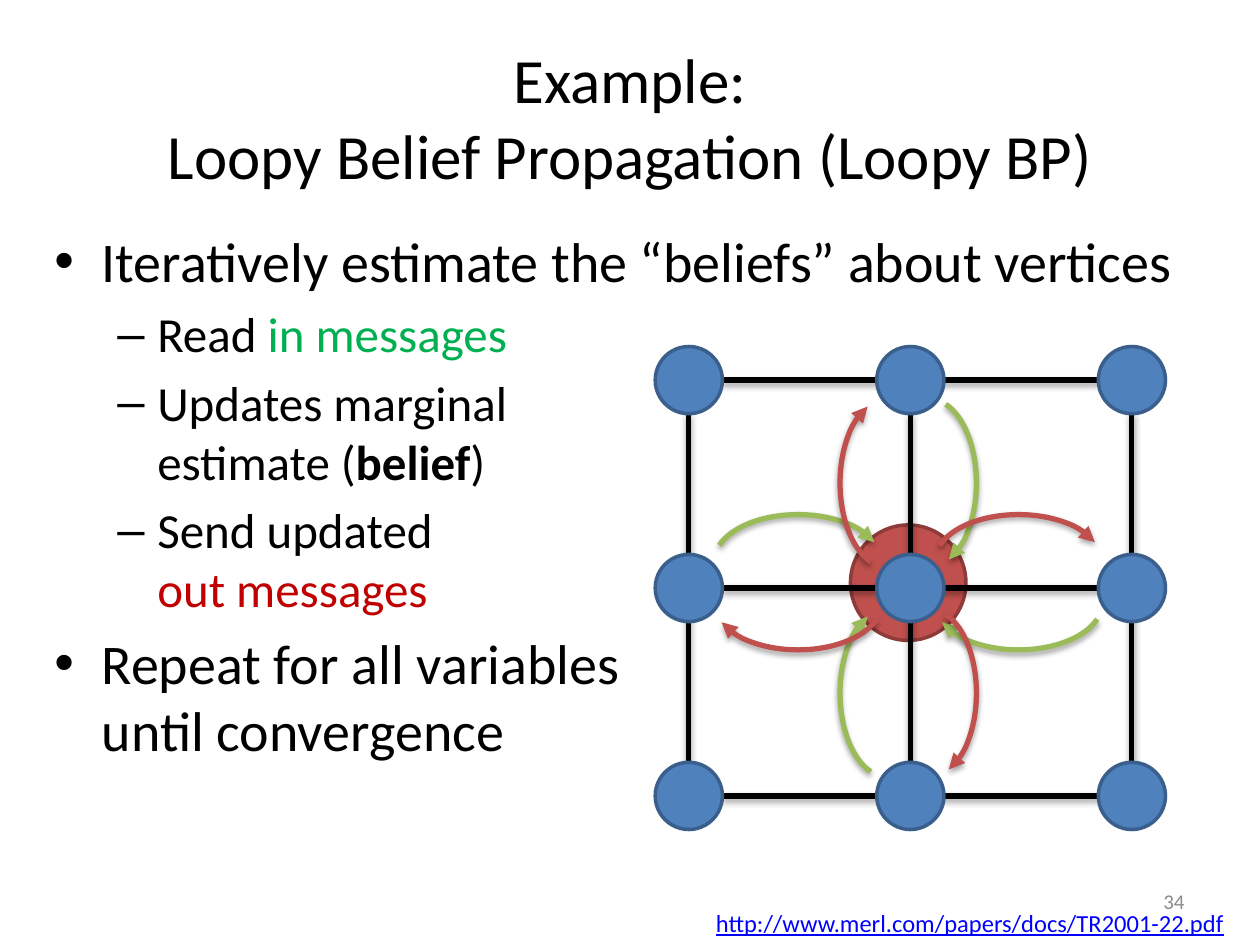
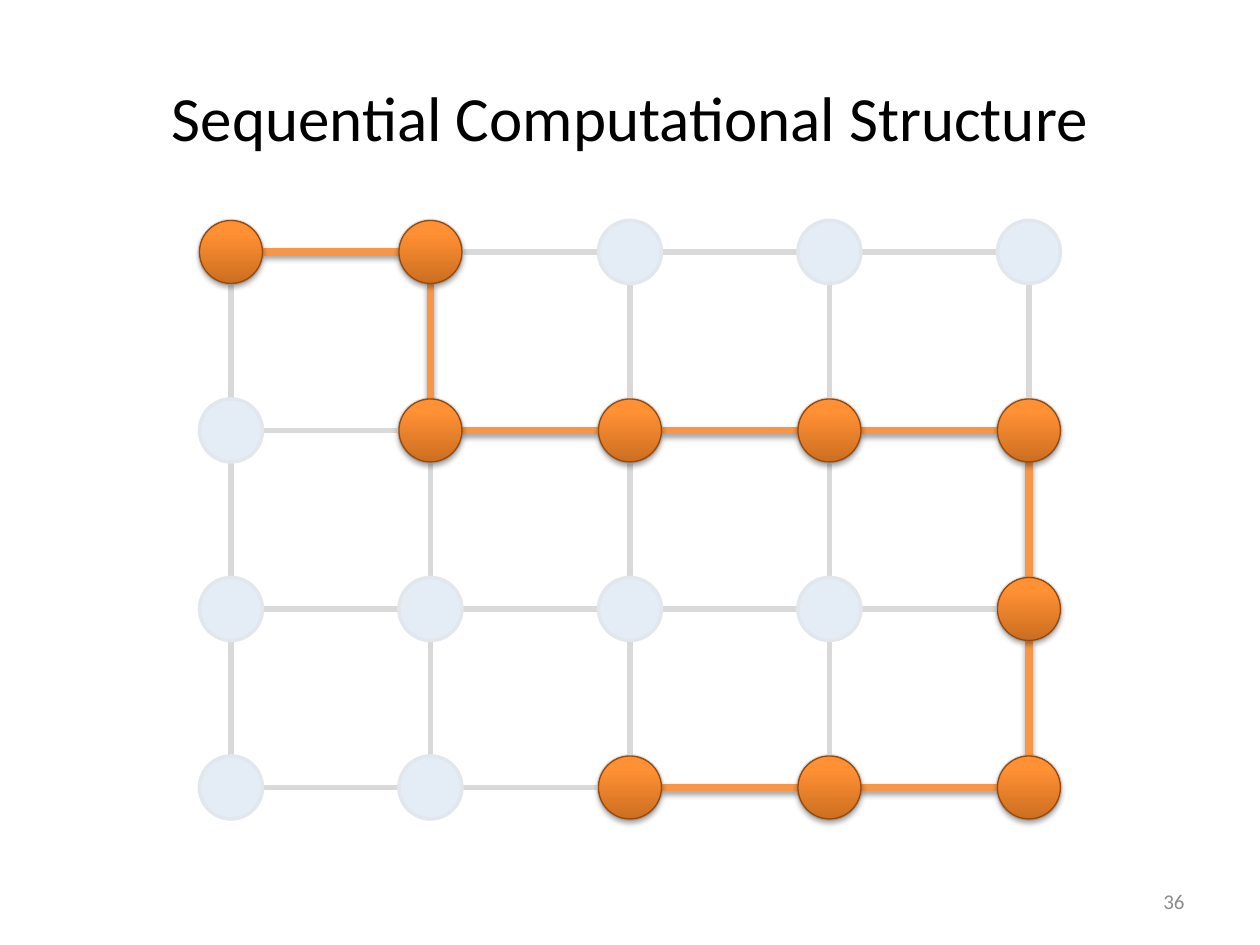
"""Build two slides on loopy belief propagation and its sequential structure."""
from dataclasses import dataclass
from itertools import pairwise, product

from lxml.etree import SubElement
from pptx import Presentation
from pptx.dml.color import RGBColor
from pptx.enum.shapes import MSO_CONNECTOR, MSO_SHAPE
from pptx.enum.text import MSO_ANCHOR, PP_ALIGN
from pptx.oxml.ns import qn
from pptx.util import Emu, Pt

EMU_PER_PX = 7620
SLIDE_SIZE = (1200, 900)
TITLE_BOX = (60, 36, 1080, 150)
NUMBER_BOX = (860, 834, 280, 48)
BODY_BOX = (40, 210, 1110, 560)
LINK_BOX = (670, 859, 530, 41)

FONT = "Calibri"
BLACK, WHITE, GRAY, LINK_BLUE = "000000", "FFFFFF", "8C8C8C", "0000FF"
IN_TEXT, OUT_TEXT = "00B050", "C00000"
BLUE, BLUE_EDGE = "4F81BD", "3A5F8C"
RED, RED_EDGE, GREEN = "C0504D", "8E3B39", "9BBB59"
ORANGE, ORANGE_EDGE = "F79646", "984807"
ORANGE_STOPS = [(0, "CC6E20"), (80, "FF9034"), (100, "FF9136")]

LEVELS = [
    {"size": 32, "margin": 45, "hang": 45, "bullet": "•"},
    {"size": 28, "margin": 98, "hang": 38, "bullet": "–"},
]

BELIEF_TITLE = "Example:\nLoopy Belief Propagation (Loopy BP)"
BELIEF_POINTS = [
    (0, [("Iteratively estimate the “beliefs” about vertices", BLACK, False)]),
    (1, [("Read ", BLACK, False), ("in messages", IN_TEXT, False)]),
    (1, [("Updates marginal\nestimate (", BLACK, False),
         ("belief", BLACK, True), (")", BLACK, False)]),
    (1, [("Send updated\n", BLACK, False), ("out messages", OUT_TEXT, False)]),
    (0, [("Repeat for all variables\nuntil convergence", BLACK, False)]),
]
BELIEF_LINK = "http://www.merl.com/papers/docs/TR2001-22.pdf"
ACTIVE_VERTEX_BOX = (810, 500, 110, 110)

ARC_SIZE = (90, 160)
ARC_ADJUSTMENTS = (169.09, 45.37)
MESSAGES = [
    (GREEN, [(885, 460, 0), (970, 574, 90), (845, 660, 180), (760, 535, 270)]),
    (RED, [(885, 660, 0), (970, 535, 270), (760, 574, 90), (845, 460, 180)]),
]

SEQUENCE_TITLE = "Sequential Computational Structure"
VEIL_BOX = (180, 200, 850, 600)
SEQUENCE = [(0, 0), (1, 0), (1, 1), (2, 1), (3, 1),
            (4, 1), (4, 2), (4, 3), (3, 3), (2, 3)]


@dataclass
class Grid:
    """Evenly spaced vertices, placed by the centre of the first one."""
    left: int
    top: int
    column_step: int
    row_step: int
    columns: int
    rows: int
    radius: int

    def center(self, cell):
        """Return the centre of a cell."""
        column, row = cell
        return (self.left + column * self.column_step,
                self.top + row * self.row_step)

    def box(self, cell):
        """Return the box of the vertex in a cell."""
        x, y = self.center(cell)
        return (x - self.radius, y - self.radius,
                2 * self.radius, 2 * self.radius)

    def cells(self):
        """Return all cells."""
        return product(range(self.columns), range(self.rows))


BELIEF_GRID = Grid(656, 362, 211, 198, 3, 3, 32)
SEQUENCE_GRID = Grid(220, 240, 190, 170, 5, 4, 30)


def px(*lengths):
    """Turn px lengths into EMU."""
    return [Emu(length * EMU_PER_PX) for length in lengths]


def rgb(color):
    """Turn a hex string into a colour."""
    return RGBColor.from_string(color)


def set_effects(shape, shadow):
    """Replace the theme's shadow by none or by the soft one."""
    effects = SubElement(shape._element.spPr, qn("a:effectLst"))
    if shadow:
        outer = SubElement(effects, qn("a:outerShdw"), blurRad="40000",
                           dist="23000", dir="5400000", rotWithShape="0")
        color = SubElement(outer, qn("a:srgbClr"), val=BLACK)
        SubElement(color, qn("a:alpha"), val="35000")


def set_line(shape, color, width):
    """Set the outline, or none when there is no colour."""
    if color is None:
        shape.line.fill.background()
        return
    shape.line.color.rgb = rgb(color)
    shape.line.width = Pt(width)


def set_gradient(shape, stops):
    """Fill a shape from bottom to top."""
    gradient = SubElement(shape._element.spPr, qn("a:gradFill"), rotWithShape="1")
    stop_list = SubElement(gradient, qn("a:gsLst"))
    for position, color in stops:
        stop = SubElement(stop_list, qn("a:gs"), pos=str(position * 1000))
        SubElement(stop, qn("a:srgbClr"), val=color)
    SubElement(gradient, qn("a:lin"), ang="16200000", scaled="0")


def add_shape(shapes, kind, box, fill, line=None, width=2, shadow=False):
    """Add a preset shape with a plain, gradient or empty fill."""
    shape = shapes.add_shape(kind, *px(*box))
    if isinstance(fill, list):
        set_gradient(shape, fill)
    elif fill:
        shape.fill.solid()
        shape.fill.fore_color.rgb = rgb(fill)
    else:
        shape.fill.background()
    set_line(shape, line, width)
    set_effects(shape, shadow)
    return shape


def add_edge(slide, grid, start, end, color, width, shadow):
    """Join the rims of two vertices in one row or column."""
    (x1, y1), (x2, y2) = grid.center(start), grid.center(end)
    distance = abs(x2 - x1) + abs(y2 - y1)
    trim_x = (x2 - x1) * grid.radius // distance
    trim_y = (y2 - y1) * grid.radius // distance
    edge = slide.shapes.add_connector(
        MSO_CONNECTOR.STRAIGHT,
        *px(x1 + trim_x, y1 + trim_y, x2 - trim_x, y2 - trim_y))
    set_line(edge, color, width)
    set_effects(edge, shadow)


def add_grid(slide, grid, shadow):
    """Draw the edges and blue vertices of a grid."""
    for row in range(grid.rows):
        add_edge(slide, grid, (0, row), (grid.columns - 1, row), BLACK, 3, shadow)
    for column in range(grid.columns):
        add_edge(slide, grid, (column, 0), (column, grid.rows - 1), BLACK, 3, shadow)
    for cell in grid.cells():
        add_shape(slide.shapes, MSO_SHAPE.OVAL, grid.box(cell), BLUE, BLUE_EDGE)


def add_frame(slide, box, anchor=MSO_ANCHOR.TOP):
    """Add a wrapping text box and return its frame."""
    frame = slide.shapes.add_textbox(*px(*box)).text_frame
    frame.word_wrap = True
    frame.vertical_anchor = anchor
    return frame


def set_font(paragraph, size, color=BLACK):
    """Set the font of a whole paragraph."""
    paragraph.font.name = FONT
    paragraph.font.size = Pt(size)
    paragraph.font.color.rgb = rgb(color)


def add_runs(paragraph, text):
    """Add text with line breaks and return its runs."""
    runs = []
    for index, line in enumerate(text.split("\n")):
        if index:
            paragraph.add_line_break()
        if line:
            run = paragraph.add_run()
            run.text = line
            runs.append(run)
    return runs


def add_label(slide, box, text, size, color, align, anchor):
    """Add a box with one paragraph in one font."""
    paragraph = add_frame(slide, box, anchor).paragraphs[0]
    paragraph.alignment = align
    set_font(paragraph, size, color)
    add_runs(paragraph, text)
    return paragraph


def add_points(slide, box, points):
    """Add bulleted paragraphs on two levels."""
    frame = add_frame(slide, box)
    for index, (level, parts) in enumerate(points):
        style = LEVELS[level]
        paragraph = frame.add_paragraph() if index else frame.paragraphs[0]
        properties = paragraph._element.get_or_add_pPr()
        margin, hang = px(style["margin"], style["hang"])
        properties.set("marL", str(margin))
        properties.set("indent", str(-hang))
        SubElement(properties, qn("a:buFont"), typeface="Arial")
        SubElement(properties, qn("a:buChar"), char=style["bullet"])
        paragraph.level = level
        paragraph.space_before = Pt(style["size"] * 0.2 if index else 0)
        set_font(paragraph, style["size"])
        for text, color, bold in parts:
            for run in add_runs(paragraph, text):
                run.font.color.rgb = rgb(color)
                run.font.bold = bold


def add_messages(slide, color, places):
    """Add a group of curved arrows given by centre and rotation."""
    group = slide.shapes.add_group_shape()
    width, height = ARC_SIZE
    for x, y, rotation in places:
        box = (x - width // 2, y - height // 2, width, height)
        arc = add_shape(group.shapes, MSO_SHAPE.ARC, box, None, color, 3, True)
        for index, value in enumerate(ARC_ADJUSTMENTS):
            arc.adjustments[index] = value
        arc.rotation = rotation
        outline = arc._element.spPr.find(qn("a:ln"))
        SubElement(outline, qn("a:tailEnd"), type="triangle")


def add_slide(presentation, title, number):
    """Add a blank slide with its title and number."""
    slide = presentation.slides.add_slide(presentation.slide_layouts[6])
    add_label(slide, TITLE_BOX, title, 36, BLACK,
              PP_ALIGN.CENTER, MSO_ANCHOR.MIDDLE)
    add_label(slide, NUMBER_BOX, str(number), 12, GRAY,
              PP_ALIGN.RIGHT, MSO_ANCHOR.MIDDLE)
    return slide


def build_belief_slide(presentation):
    """Show messages passing through one vertex."""
    slide = add_slide(presentation, BELIEF_TITLE, 34)
    add_shape(slide.shapes, MSO_SHAPE.OVAL, ACTIVE_VERTEX_BOX, RED, RED_EDGE)
    add_points(slide, BODY_BOX, BELIEF_POINTS)
    add_grid(slide, BELIEF_GRID, shadow=True)
    for color, places in MESSAGES:
        add_messages(slide, color, places)
    link = add_label(slide, LINK_BOX, BELIEF_LINK, 14, LINK_BLUE,
                     PP_ALIGN.LEFT, MSO_ANCHOR.TOP)
    link.font.underline = True


def build_sequence_slide(presentation):
    """Show one path over a faded grid."""
    slide = add_slide(presentation, SEQUENCE_TITLE, 36)
    add_grid(slide, SEQUENCE_GRID, shadow=False)
    veil = add_shape(slide.shapes, MSO_SHAPE.RECTANGLE, VEIL_BOX, WHITE)
    veil_color = veil._element.spPr.find(f".//{qn('a:srgbClr')}")
    SubElement(veil_color, qn("a:alpha"), val="85000")
    for start, end in pairwise(SEQUENCE):
        add_edge(slide, SEQUENCE_GRID, start, end, ORANGE, 4.5, True)
    for cell in SEQUENCE:
        add_shape(slide.shapes, MSO_SHAPE.OVAL, SEQUENCE_GRID.box(cell),
                  ORANGE_STOPS, ORANGE_EDGE, 0.75, True)


def main():
    """Build and save the slides."""
    presentation = Presentation()
    presentation.slide_width, presentation.slide_height = px(*SLIDE_SIZE)
    build_belief_slide(presentation)
    build_sequence_slide(presentation)
    presentation.save("out.pptx")


if __name__ == "__main__":
    main()
